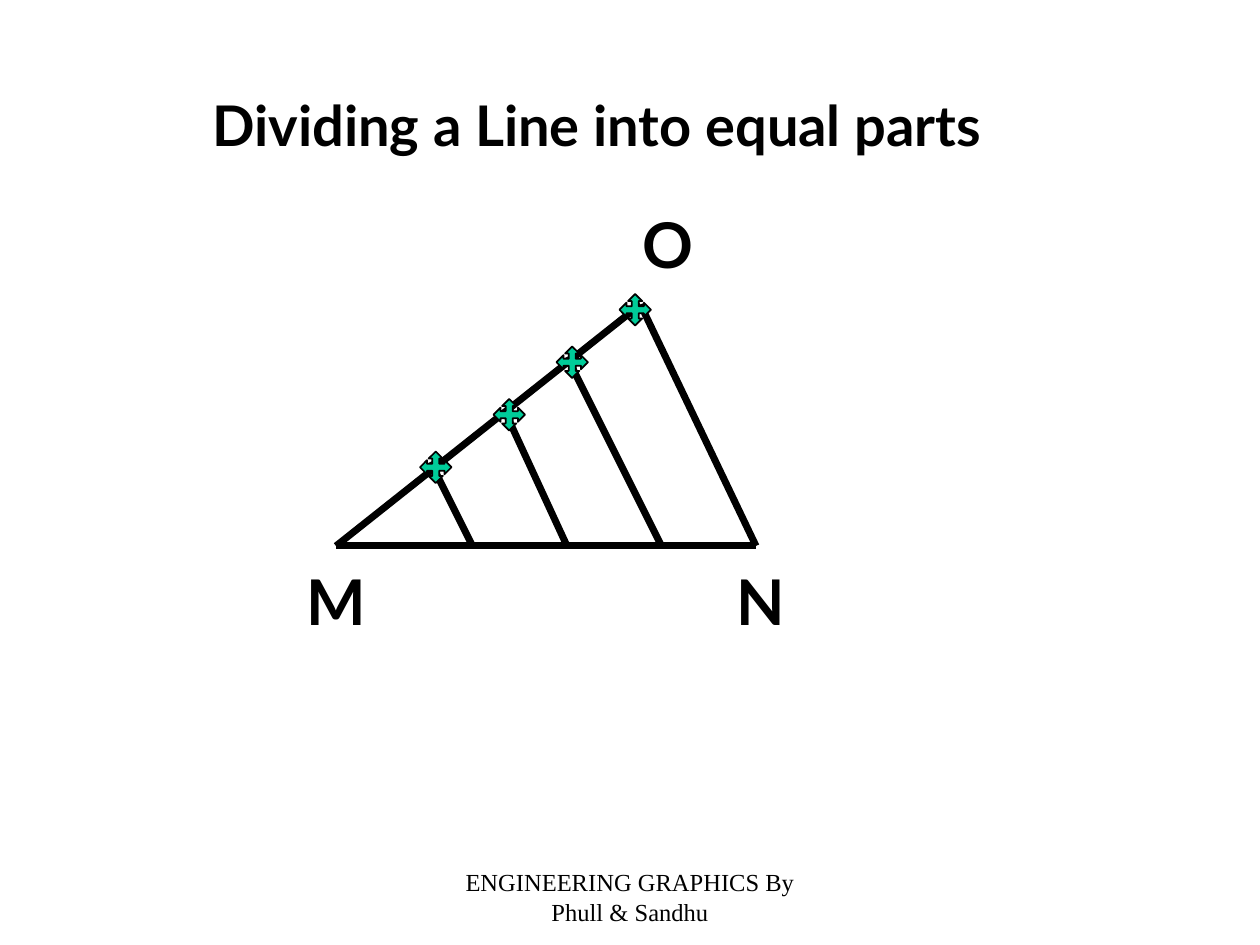
from dataclasses import dataclass

from lxml import etree
from pptx import Presentation
from pptx import util as u
from pptx.dml.color import RGBColor
from pptx.enum import shapes, text
from pptx.oxml import ns


@dataclass(frozen=True)
class Theme:
    """Colours, fonts and sizes of the slide."""
    ink: RGBColor = RGBColor(0, 0, 0)
    paper: RGBColor = RGBColor(255, 255, 255)
    marker: RGBColor = RGBColor(0, 204, 153)
    heading_font: str = "Lato"
    footer_font: str = "Times New Roman"
    title_size: int = 32
    label_size: int = 36
    footer_size: int = 14
    stroke: int = 4
    outline: int = 1


class GeometrySlide:
    """Draws elements on a grid of twelve cells to the inch."""

    def __init__(self, presentation, theme):
        """Add a title-only slide."""
        self.theme = theme
        self.cell = presentation.slide_width / 120
        self.slide = presentation.slides.add_slide(presentation.slide_layouts[5])
        fill = self.slide.background.fill
        fill.solid()
        fill.fore_color.rgb = theme.paper

    def lengths(self, *cells):
        """Turn grid cells into slide lengths."""
        return [u.Emu(round(count * self.cell)) for count in cells]

    def set_words(self, shape, words, font, size, bold=False, centred=False):
        """Put one formatted run into a shape."""
        frame = shape.text_frame
        frame.word_wrap = True
        frame.auto_size = text.MSO_AUTO_SIZE.NONE
        frame.vertical_anchor = text.MSO_ANCHOR.TOP
        paragraph = frame.paragraphs[0]
        paragraph.alignment = text.PP_ALIGN.CENTER if centred else text.PP_ALIGN.LEFT
        paragraph.space_before = u.Pt(0)
        run = paragraph.add_run()
        run.text = words
        run.font.name = font
        run.font.size = u.Pt(size)
        run.font.bold = bold
        run.font.color.rgb = self.theme.ink

    def title(self, words, *box):
        """Move and fill the title placeholder."""
        shape = self.slide.shapes.title
        shape.left, shape.top, shape.width, shape.height = self.lengths(*box)
        self.set_words(shape, words, self.theme.heading_font, self.theme.title_size, bold=True)

    def label(self, words, column, row):
        """Name a corner of the triangle."""
        shape = self.slide.shapes.add_textbox(*self.lengths(column, row, 7, 8.4))
        self.set_words(shape, words, self.theme.heading_font, self.theme.label_size, bold=True)

    def footer(self, words, *box):
        """Add the centred footer."""
        shape = self.slide.shapes.add_textbox(*self.lengths(*box))
        self.set_words(shape, words, self.theme.footer_font, self.theme.footer_size, centred=True)

    def line(self, start, end):
        """Draw a straight line between two grid points."""
        connector = self.slide.shapes.add_connector(
            shapes.MSO_CONNECTOR.STRAIGHT, *self.lengths(*start, *end))
        connector.line.color.rgb = self.theme.ink
        connector.line.width = u.Pt(self.theme.stroke)
        etree.SubElement(connector._element.spPr, ns.qn("a:effectLst"))

    def marker(self, column, row):
        """Mark a division point with a four-way arrow."""
        shape = self.slide.shapes.add_shape(
            shapes.MSO_SHAPE.QUAD_ARROW, *self.lengths(column, row, 3, 3))
        shape.shadow.inherit = False
        shape.fill.solid()
        shape.fill.fore_color.rgb = self.theme.marker
        shape.line.color.rgb = self.theme.ink
        shape.line.width = u.Pt(self.theme.outline)


def main():
    """Build and save the slide."""
    presentation = Presentation()
    presentation.slide_width, presentation.slide_height = u.Inches(10), u.Inches(7.5)
    page = GeometrySlide(presentation, Theme())
    page.footer("ENGINEERING GRAPHICS By Phull & Sandhu", 41, 82, 38, 6)
    page.title("Dividing a Line into equal parts", 19, 8, 87, 7.7)

    base_row = 52
    corner_m, corner_n, corner_o = (32, base_row), (72, base_row), (61, 29)
    page.line(corner_m, corner_n)
    page.line(corner_m, corner_o)
    page.line(corner_o, corner_n)
    for division, foot in (((41, 44), 45), ((48, 39), 54), ((54, 34), 63)):
        page.line(division, (foot, base_row))

    for name, column, row in (("M", 28, 53), ("N", 69, 53), ("O", 60, 19)):
        page.label(name, column, row)
    for step, column in enumerate((40, 47, 53, 59)):
        page.marker(column, 43 - 5 * step)
    presentation.save("out.pptx")


if __name__ == "__main__":
    main()
